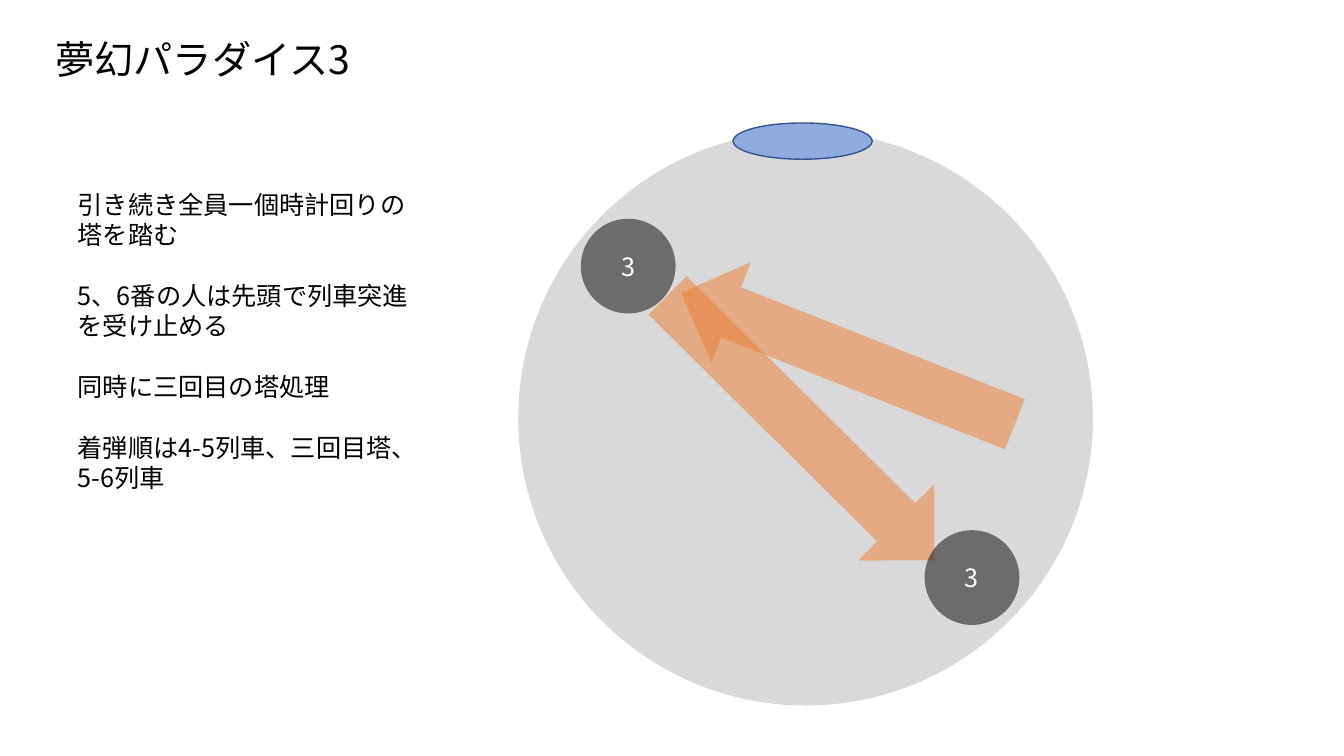
from dataclasses import dataclass

from lxml import etree
from pptx import Presentation
from pptx.dml.color import RGBColor
from pptx.enum.shapes import MSO_SHAPE
from pptx.enum.text import MSO_ANCHOR, MSO_AUTO_SIZE, PP_ALIGN
from pptx.oxml.ns import qn
from pptx.util import Inches, Pt

ELLIPSE, ARROW = MSO_SHAPE.OVAL, MSO_SHAPE.RIGHT_ARROW
TOP, MIDDLE = MSO_ANCHOR.TOP, MSO_ANCHOR.MIDDLE
LEFT, CENTER = PP_ALIGN.LEFT, PP_ALIGN.CENTER
NO_FIT, GROW = MSO_AUTO_SIZE.NONE, MSO_AUTO_SIZE.SHAPE_TO_FIT_TEXT

SLIDE_W, SLIDE_H = Inches(13.33), Inches(7.5)


@dataclass(frozen=True)
class Theme:
    font: str = "Noto Sans CJK SC"
    title_size: int = 28
    text_size: int = 18
    text: str = "000000"
    arena: str = "D9D9D9"
    portal: str = "8FAADC"
    portal_edge: str = "325491"
    train: str = "ED7D31"
    tower: str = "000000"
    tower_number: str = "FFFFFF"
    overlay_alpha: int = 50


THEME = Theme()

STEPS = [
    "引き続き全員一個時計回りの塔を踏む",
    "5、6番の人は先頭で列車突進を受け止める",
    "同時に三回目の塔処理",
    "着弾順は4-5列車、三回目塔、5-6列車",
]

# Centre x, centre y, width, height in percent of the slide
TITLE_AREA = (49.96, 9.6, 93.17, 11.2)
STEPS_AREA = (18.72, 45.27, 27.38, 41.73)
PORTAL_AREA = (59.72, 18.67, 10.35, 4.8)

# Centre x and y in percent of the slide
ARENA_CENTER = (59.94, 55.33)
TOWER_CENTERS = [(46.74, 35.2), (72.32, 76.4)]

# Diameters in percent of the slide height
ARENA_DIAMETER = 76
TOWER_DIAMETER = 12.53

# Centre x, centre y, length in percent, then rotation in degrees
TRAINS = [(63.09, 47.4, 26.71, 201.5), (59.6, 56.6, 27.98, 44.8)]
TRAIN_HEIGHT = 14.27


def area(center_x, center_y, width, height):
    """Turn percentages around a centre into left, top, width, height."""
    return (
        round(SLIDE_W * (center_x - width / 2) / 100),
        round(SLIDE_H * (center_y - height / 2) / 100),
        round(SLIDE_W * width / 100),
        round(SLIDE_H * height / 100),
    )


def disc_area(center, diameter):
    return area(*center, diameter * SLIDE_H / SLIDE_W, diameter)


def apply(target, values):
    for name, value in values.items():
        setattr(target, name, value)


def write(paragraph, text, size, color, **layout):
    apply(paragraph, layout)
    run = paragraph.add_run()
    run.text = text
    apply(run.font, {"name": THEME.font, "size": Pt(size)})
    run.font.color.rgb = RGBColor.from_string(color)
    east_asian = etree.SubElement(run.font._element, qn("a:ea"))
    east_asian.set("typeface", THEME.font)


def add_figure(slide, kind, box, fill, alpha=None, edge=None, rotation=0):
    figure = slide.shapes.add_shape(kind, *box)
    figure.shadow.inherit = False
    figure.rotation = rotation
    figure.fill.solid()
    figure.fill.fore_color.rgb = RGBColor.from_string(fill)
    if alpha is not None:
        color = figure.fill._xPr.find(qn("a:solidFill"))[0]
        etree.SubElement(color, qn("a:alpha")).set("val", str(alpha * 1000))
    if edge:
        figure.line.color.rgb = RGBColor.from_string(edge)
        figure.line.width = Pt(1)
    else:
        figure.line.fill.background()
    return figure


def place(placeholder, box, **frame_format):
    left, top, width, height = box
    apply(placeholder, {"left": left, "top": top, "width": width, "height": height})
    apply(placeholder.text_frame, {"word_wrap": True, "vertical_anchor": TOP, **frame_format})
    return placeholder.text_frame


def add_title(slide, text):
    margins = {f"margin_{side}": Inches(0.1) for side in ("left", "top", "right", "bottom")}
    frame = place(slide.shapes.title, area(*TITLE_AREA), auto_size=NO_FIT, **margins)
    write(frame.paragraphs[0], text, THEME.title_size, THEME.text,
          alignment=LEFT, line_spacing=0.9)


def add_steps(slide, steps):
    frame = place(slide.placeholders[1], area(*STEPS_AREA), auto_size=GROW)
    for index, step in enumerate(steps):
        paragraph = frame.add_paragraph() if index else frame.paragraphs[0]
        properties = paragraph._p.get_or_add_pPr()
        apply_indent = {"marL": "0", "indent": "0"}
        for name, value in apply_indent.items():
            properties.set(name, value)
        etree.SubElement(properties, qn("a:buNone"))
        write(paragraph, step, THEME.text_size, THEME.text, alignment=LEFT,
              line_spacing=1.0, space_before=Pt(21.7 if index else 0), space_after=Pt(0))


def add_train(slide, center_x, center_y, length, rotation):
    add_figure(slide, ARROW, area(center_x, center_y, length, TRAIN_HEIGHT),
               THEME.train, alpha=THEME.overlay_alpha, rotation=rotation)


def add_tower(slide, center, number):
    tower = add_figure(slide, ELLIPSE, disc_area(center, TOWER_DIAMETER),
                       THEME.tower, alpha=THEME.overlay_alpha)
    tower.text_frame.vertical_anchor = MIDDLE
    write(tower.text_frame.paragraphs[0], number, THEME.text_size,
          THEME.tower_number, alignment=CENTER)


def main():
    deck = Presentation()
    apply(deck, {"slide_width": SLIDE_W, "slide_height": SLIDE_H})
    slide = deck.slides.add_slide(deck.slide_layouts[1])

    # Heading and instructions
    add_title(slide, "夢幻パラダイス3")
    add_steps(slide, STEPS)

    # Arena with the portal on its edge
    add_figure(slide, ELLIPSE, disc_area(ARENA_CENTER, ARENA_DIAMETER), THEME.arena)
    add_figure(slide, ELLIPSE, area(*PORTAL_AREA), THEME.portal, edge=THEME.portal_edge)

    # Train charges and third-round towers
    for train in TRAINS:
        add_train(slide, *train)
    for center in TOWER_CENTERS:
        add_tower(slide, center, "3")

    deck.save("out.pptx")


if __name__ == "__main__":
    main()
